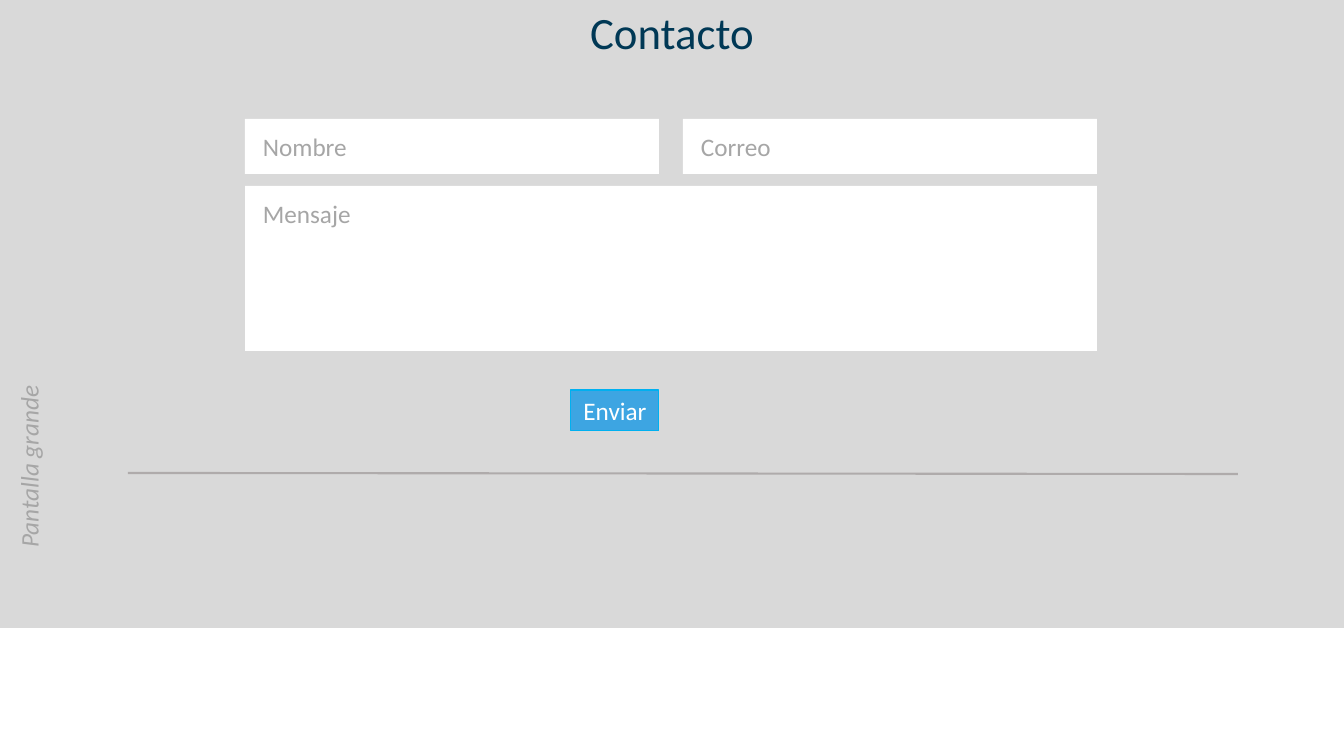
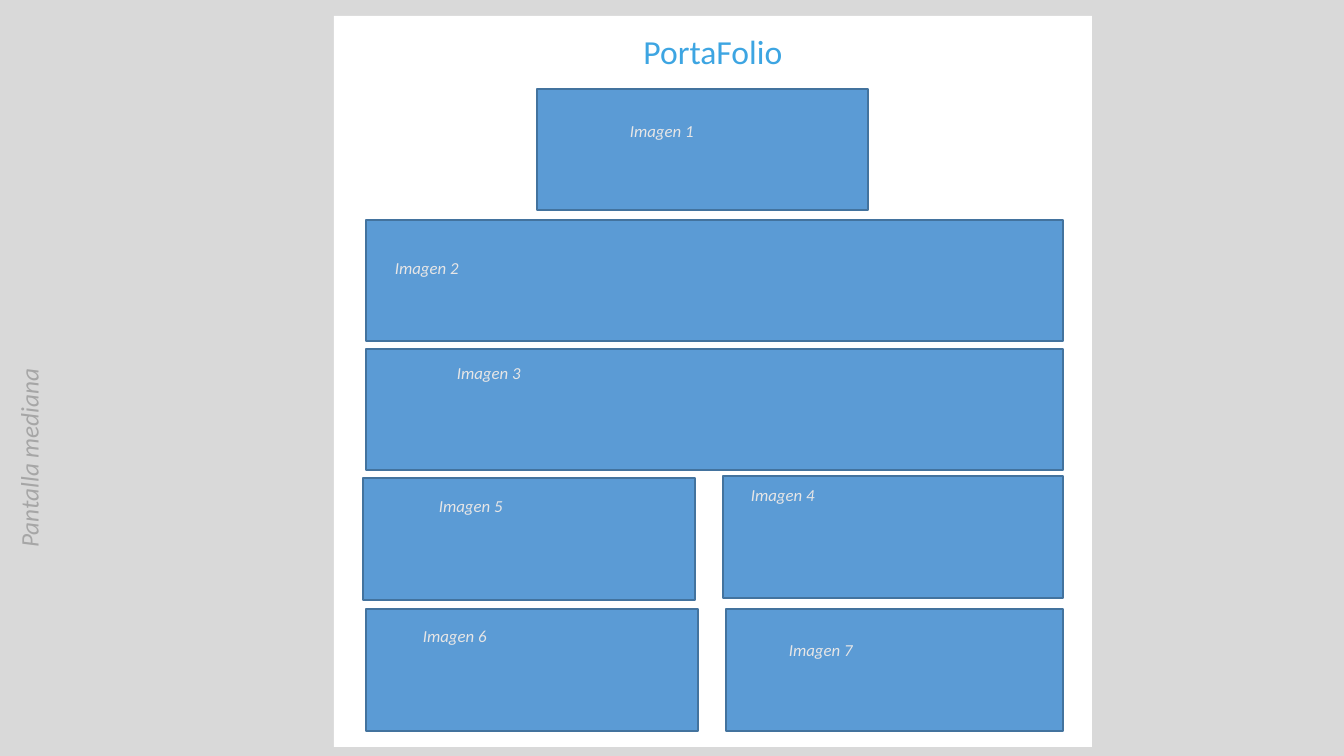
import pptx
import pptx.util
import pptx.dml.color
import pptx.enum.shapes
import pptx.enum.text
import pptx.oxml.ns
import lxml.etree

RGB = pptx.dml.color.RGBColor
GREY = RGB(0xD9, 0xD9, 0xD9)
WHITE = RGB(0xFF, 0xFF, 0xFF)
MUTED = RGB(0xA6, 0xA6, 0xA6)
PALE = RGB(0xE7, 0xE6, 0xE6)
NAVY = RGB(0x00, 0x38, 0x55)
SKY = RGB(0x3D, 0xA5, 0xE2)
CYAN = RGB(0x00, 0xB0, 0xF0)
BLUE = RGB(0x5B, 0x9B, 0xD5)
EDGE = RGB(0x43, 0x73, 0x9E)
RULE = RGB(0xAF, 0xAB, 0xAB)
WIDE, HIGH = 1344, 756
SCALE = 12192000 / WIDE
CENTER = pptx.enum.text.PP_ALIGN.CENTER


def rect(shapes, *area, fill=WHITE, line=None, width=1):
    """Add a flat rectangle; area is left, top, width, height in pixels."""
    box = shapes.add_shape(pptx.enum.shapes.MSO_SHAPE.RECTANGLE,
                           *[round(n * SCALE) for n in area])
    box.shadow.inherit = False
    box.fill.solid()
    box.fill.fore_color.rgb = fill
    if line is None:
        box.line.fill.background()
    else:
        box.line.color.rgb = line
        box.line.width = pptx.util.Pt(width)
    return box


def write(shapes, text, *area, box=None, size=18, color=MUTED,
          italic=False, align=None, turn=0):
    """Write text in the given box, or in a new text box at area."""
    if box is None:
        box = shapes.add_textbox(*[round(n * SCALE) for n in area])
        box.rotation = turn
    frame = box.text_frame
    frame.word_wrap = True
    para = frame.paragraphs[0]
    para.alignment = align
    run = para.add_run()
    run.text = text
    run.font.name = "Calibri"
    run.font.size = pptx.util.Pt(size)
    run.font.italic = italic
    run.font.color.rgb = color


deck = pptx.Presentation()
deck.slide_width = round(WIDE * SCALE)
deck.slide_height = round(HIGH * SCALE)

# Both slides: grey ground and a turned screen label
pages = []
for screen in ("Pantalla grande", "Pantalla mediana"):
    page = deck.slides.add_slide(deck.slide_layouts[6]).shapes
    rect(page, 0, 0, WIDE, HIGH, fill=GREY)
    write(page, screen, -142, 367, 341, 40, italic=True, turn=270)
    pages.append(page)
form, folio = pages

# Contact form
write(form, "Contacto", 0, 0, WIDE, 64, size=32, color=NAVY, align=CENTER)
for name, left, top, width, height in (
        ("Nombre", 245, 119, 414, 55),
        ("Correo", 683, 119, 414, 55),
        ("Mensaje", 245, 186, 852, 165)):
    rect(form, left, top, width, height)
    write(form, name, left + 8, top + 7, 122, 40)
send = rect(form, 571, 390, 88, 41, fill=SKY, line=CYAN, width=0.75)
write(form, "Enviar", box=send, color=WHITE, align=CENTER)
rule = form.add_connector(pptx.enum.shapes.MSO_CONNECTOR.STRAIGHT,
                          *[round(n * SCALE) for n in (128, 473, 1238, 474)])
rule.line.color.rgb = RULE
rule.line.width = pptx.util.Pt(1.5)
lxml.etree.SubElement(rule._element.spPr, pptx.oxml.ns.qn("a:effectLst"))
rect(form, 0, 628, WIDE, 128)

# Portfolio: each tile has its area, then the offset of its label
rect(folio, 334, 16, 758, 731)
write(folio, "PortaFolio", 334, 26, 758, 50, size=24, color=SKY, align=CENTER)
tiles = (
    (1, 537, 89, 331, 121, 83, 27),
    (2, 366, 220, 697, 121, 19, 33),
    (3, 366, 349, 697, 121, 81, 9),
    (4, 723, 476, 340, 122, 18, 4),
    (5, 363, 478, 332, 122, 66, 13),
    (6, 366, 609, 332, 122, 47, 12),
    (7, 726, 609, 337, 122, 53, 26))
for num, left, top, width, height, right, down in tiles:
    tile = folio.add_group_shape().shapes
    rect(tile, left, top, width, height, fill=BLUE, line=EDGE)
    write(tile, f"Imagen {num}", left + right, top + down, 92, 30,
          size=12, color=PALE, italic=True)

deck.save("out.pptx")
